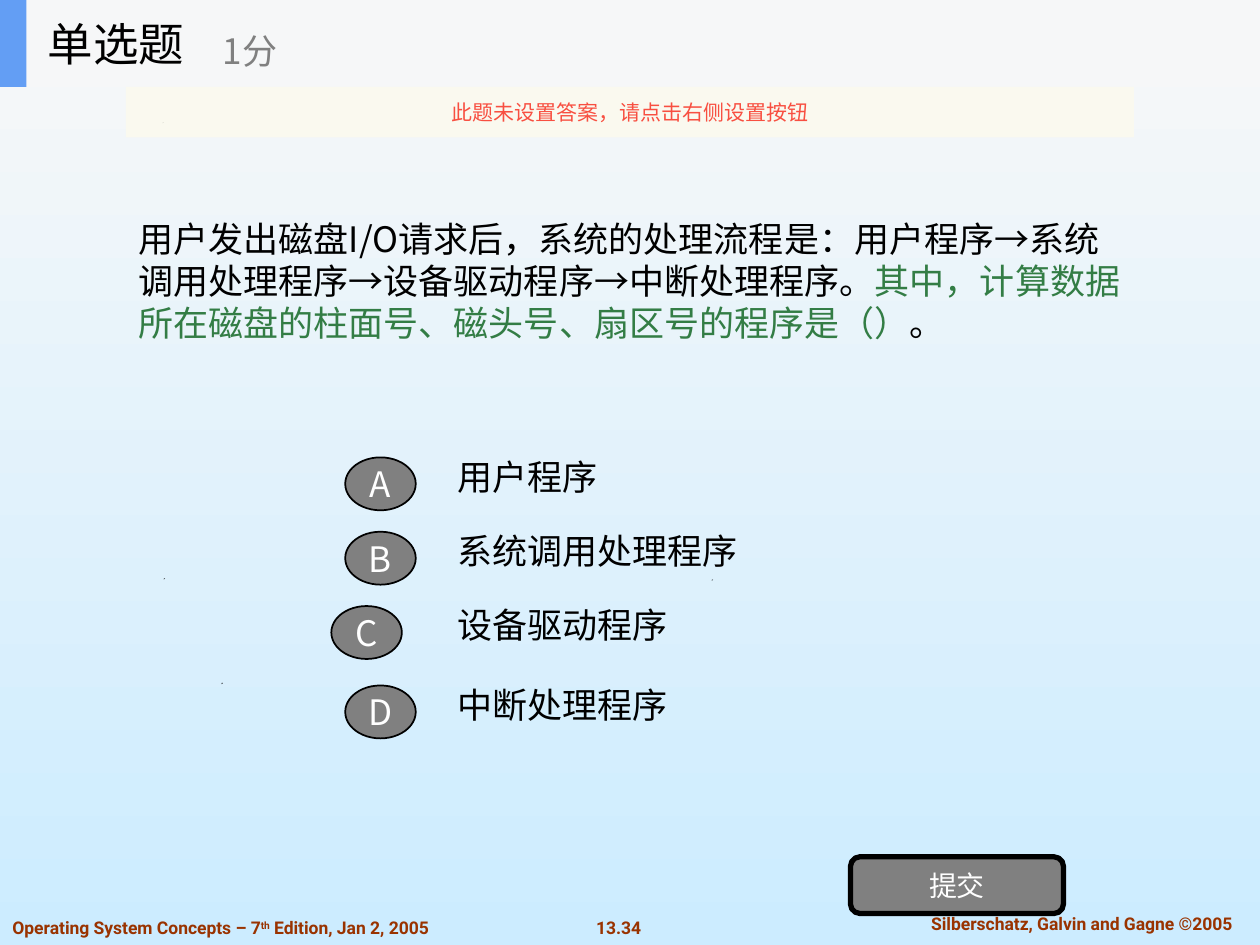
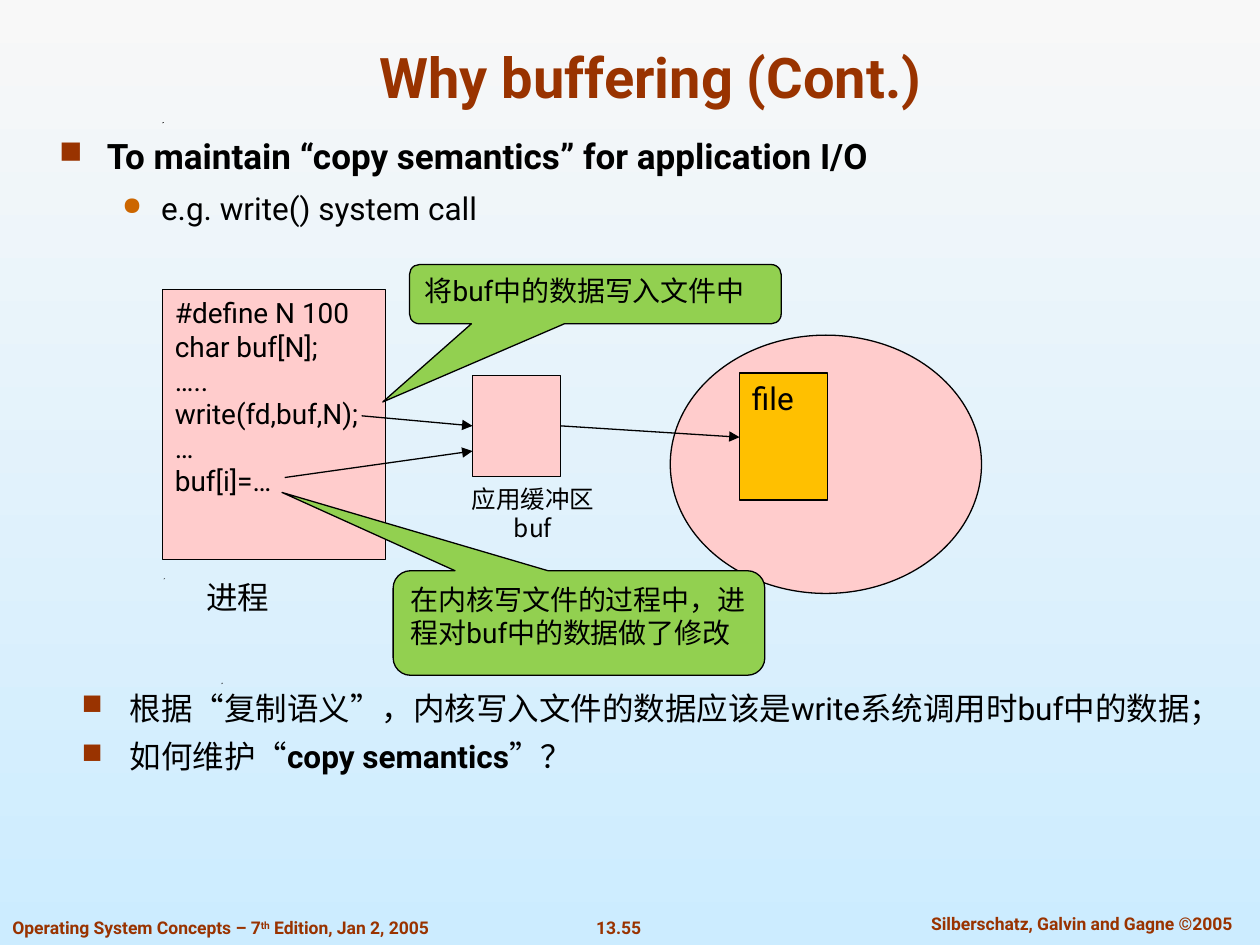
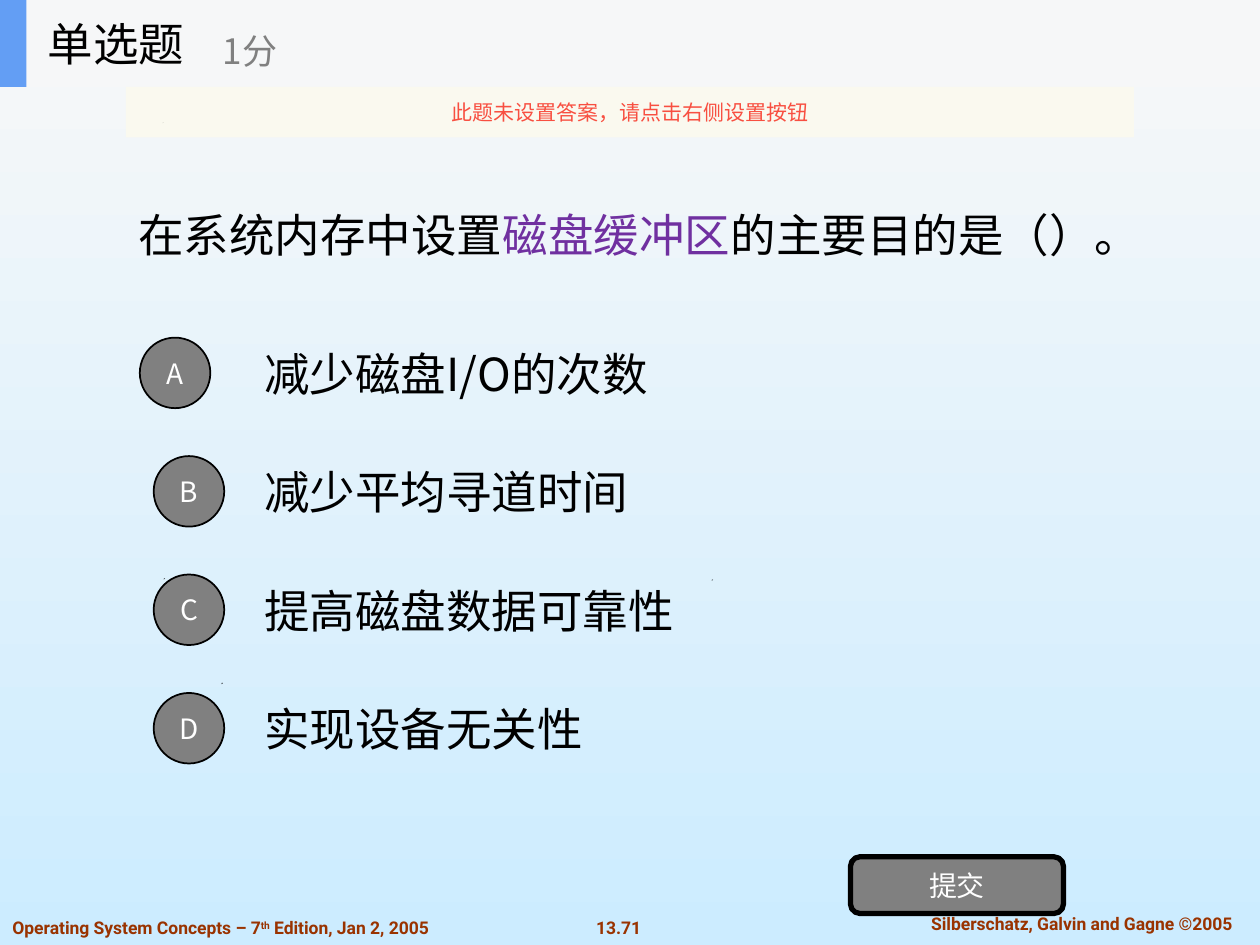
from lxml import etree
from pptx import Presentation
from pptx.dml.color import RGBColor
from pptx.enum.shapes import MSO_CONNECTOR, MSO_SHAPE
from pptx.enum.text import MSO_ANCHOR, PP_ALIGN
from pptx.oxml.ns import qn
from pptx.util import Inches, Pt

LEFT, CENTER = PP_ALIGN.LEFT, PP_ALIGN.CENTER
TOP, MIDDLE, BOTTOM = MSO_ANCHOR.TOP, MSO_ANCHOR.MIDDLE, MSO_ANCHOR.BOTTOM
RECTANGLE, ROUNDED = MSO_SHAPE.RECTANGLE, MSO_SHAPE.ROUNDED_RECTANGLE
ELLIPSE, PROCESS = MSO_SHAPE.OVAL, MSO_SHAPE.FLOWCHART_PROCESS
CALLOUT = MSO_SHAPE.ROUNDED_RECTANGULAR_CALLOUT
STRAIGHT = MSO_CONNECTOR.STRAIGHT

LATIN, CHINESE = "Roboto", "Noto Sans CJK SC"
BLACK, WHITE, GRAY = "000000", "FFFFFF", "808080"
BROWN, ORANGE, PINK, GREEN, GOLD = "993300", "CC6600", "FFCCCC", "92D050", "FFC000"
SPECKS = [(1.76, 5.43), (1.3, 4.6), (5.65, 4.61), (1.29, 0.98)]
SQUARE_BULLET = ("■", BROWN, 90, 0.38, 0.38)
ROUND_BULLET = ("●", ORANGE, 80, 0.81, 0.31)


def rgb(color):
    return RGBColor.from_string(color)


def inches(*lengths):
    return [Inches(length) for length in lengths]


# Text

def add_bullet(paragraph, bullet):
    character, color, percent, margin, hanging = bullet
    properties = paragraph._p.get_or_add_pPr()
    properties.set("marL", str(Inches(margin)))
    properties.set("indent", str(-Inches(hanging)))
    bullet_color = etree.SubElement(properties, qn("a:buClr"))
    etree.SubElement(bullet_color, qn("a:srgbClr"), val=color)
    etree.SubElement(properties, qn("a:buSzPct"), val=str(percent * 1000))
    etree.SubElement(properties, qn("a:buChar"), char=character)


def write_paragraph(paragraph, runs, size, color=BLACK, font=CHINESE, bold=False,
                    align=LEFT, bullet=None, space_before=0):
    """Runs is a string, or a list of (text, changes) pairs."""
    if bullet:
        add_bullet(paragraph, bullet)
    paragraph.alignment = align
    if space_before:
        paragraph.space_before = Pt(space_before)
    paragraph.font.size = Pt(size)
    paragraph.font.bold = bold
    paragraph.font.name = font
    paragraph.font.color.rgb = rgb(color)
    defaults = paragraph._p.pPr.find(qn("a:defRPr"))
    etree.SubElement(defaults, qn("a:ea"), typeface=CHINESE)
    for text, changes in [(runs, {})] if isinstance(runs, str) else runs:
        run = paragraph.add_run()
        run.text = text
        if "color" in changes:
            run.font.color.rgb = rgb(changes["color"])
        if "bold" in changes:
            run.font.bold = changes["bold"]
        if "baseline" in changes:
            run._r.get_or_add_rPr().set("baseline", str(changes["baseline"] * 1000))


def write_text(shape, paragraphs, anchor=TOP, inset=0.1, **style):
    """Each paragraph is its runs, or a dict of runs and own style."""
    frame = shape.text_frame
    frame.word_wrap = True
    frame.vertical_anchor = anchor
    frame.margin_left = frame.margin_right = Inches(inset)
    for index, content in enumerate(paragraphs):
        paragraph = frame.add_paragraph() if index else frame.paragraphs[0]
        own = content if isinstance(content, dict) else {"runs": content}
        write_paragraph(paragraph, **{**style, **own})


def add_text(shapes, box, paragraphs, **style):
    write_text(shapes.add_textbox(*inches(*box)), paragraphs, **style)


# Shapes and lines

def add_block(shapes, kind, box, fill, line_width=0.0, adjustments=()):
    shape = shapes.add_shape(kind, *inches(*box))
    shape.shadow.inherit = False
    shape.fill.solid()
    shape.fill.fore_color.rgb = rgb(fill)
    if line_width:
        shape.line.color.rgb = rgb(BLACK)
        shape.line.width = Pt(line_width)
    else:
        shape.line.fill.background()
    for index, value in enumerate(adjustments):
        shape.adjustments[index] = value
    return shape


def add_arrow(shapes, start, end):
    arrow = shapes.add_connector(STRAIGHT, *inches(*start, *end))
    arrow.line.color.rgb = rgb(BLACK)
    arrow.line.width = Pt(0.75)
    line = arrow._element.spPr.find(qn("a:ln"))
    etree.SubElement(line, qn("a:tailEnd"), type="triangle")
    etree.SubElement(arrow._element.spPr, qn("a:effectLst"))


# Parts shared by all slides

def set_background(master):
    fill = master.background.fill
    fill.gradient()
    fill.gradient_angle = 270
    for stop, position, color in zip(fill.gradient_stops, (0, 1), ("F8F8F8", "CCECFF")):
        stop.position = position
        stop.color.rgb = rgb(color)


def add_speck(shapes, x, y):
    builder = shapes.build_freeform(*inches(x, y))
    builder.add_line_segments([inches(x + 0.01, y - 0.01), inches(x, y - 0.01)])
    speck = builder.convert_to_shape()
    speck.shadow.inherit = False
    speck.fill.solid()
    speck.fill.fore_color.rgb = rgb(BLACK)
    speck.line.fill.background()


def add_slide(presentation, number):
    shapes = presentation.slides.add_slide(presentation.slide_layouts[6]).shapes
    for x, y in SPECKS:
        add_speck(shapes, x, y)
    style = dict(size=10, color=BROWN, font=LATIN, bold=True)
    edition = [("Operating System Concepts – 7", {}), ("th", {"baseline": 30}),
               (" Edition, Jan 2, 2005", {})]
    add_text(shapes, (0, 7.23, 3.69, 0.27), [edition], **style)
    add_text(shapes, (4.63, 7.23, 0.56, 0.27), [number], inset=0, align=CENTER, **style)
    add_text(shapes, (7.1, 7.2, 2.97, 0.27), ["Silberschatz, Galvin and Gagne ©2005"],
             align=CENTER, **style)
    return shapes


# Quiz slides

def add_quiz_header(shapes, width=10, height=0.69):
    header = shapes.add_group_shape().shapes
    add_block(header, RECTANGLE, (0, 0, width, height), "F6F7F8")
    add_block(header, RECTANGLE, (0, 0, 0.21, height), "639EF4")
    add_text(header, (0.28, 0, 2.08, height), ["单选题"], anchor=MIDDLE, size=26)
    add_text(header, (1.67, 0.12, 2.5, 0.56), ["1分"], anchor=MIDDLE, size=20, color=GRAY)
    notice = add_block(shapes, RECTANGLE, (1, height, width - 2, 0.4), "FBFAEF")
    notice_color = notice._element.spPr.find(qn("a:solidFill")).find(qn("a:srgbClr"))
    etree.SubElement(notice_color, qn("a:alpha"), val="90000")
    write_text(notice, ["此题未设置答案，请点击右侧设置按钮"], anchor=MIDDLE,
               align=CENTER, size=12, color="F84F41")


def add_option(shapes, letter, text, box, size, bubble, letter_size):
    """Bubble is left, top (both relative to the option box), width, height."""
    left, top = box[:2]
    add_text(shapes, box, [text], anchor=MIDDLE, size=size)
    circle = add_block(shapes, ELLIPSE, (left + bubble[0], top + bubble[1], *bubble[2:]),
                       GRAY, 1)
    write_text(circle, [letter], anchor=MIDDLE, inset=0, align=CENTER,
               size=letter_size, color=WHITE)


def add_quiz_slide(presentation, number, question, question_top, options, size,
                   option_size, option_left, option_tops, bubble, letter_size, shifted):
    shapes = add_slide(presentation, number)
    add_text(shapes, (1, question_top, 8, 2.34), [question], anchor=MIDDLE, size=size)
    for letter, text, top in zip("ABCD", options, option_tops):
        shift = -0.11 if letter == shifted else 0
        add_option(shapes, letter, text, (option_left, top, *option_size), size,
                   (bubble[0] + shift, *bubble[1:]), letter_size)
    submit = add_block(shapes, ROUNDED, (6.75, 6.8, 1.69, 0.45), GRAY, 3, [0.167])
    write_text(submit, ["提交"], anchor=MIDDLE, align=CENTER, size=16, color=WHITE)
    add_quiz_header(shapes)


# Buffering slide

def add_process(shapes, left, top, width=1.77, height=2.14):
    process = add_block(shapes, PROCESS, (left, top, width, height), PINK, 0.75)
    code = ["#define N 100", "char buf[N];", "…..", "write(fd,buf,N);", "…", "buf[i]=…"]
    write_text(process, code, size=16, font=LATIN)
    add_text(shapes, (left + 0.25, top + height + 0.1, 0.8, 0.4), ["进程"], size=18)


def add_buffer(shapes, left, top, width=0.7, height=0.8):
    add_block(shapes, PROCESS, (left, top, width, height), PINK, 0.75)
    add_text(shapes, (left - 0.12, top + height + 0.01, 1.2, 0.57),
             ["应用缓冲区", "buf"], size=14, align=CENTER)


def add_disk(shapes, left, top):
    add_block(shapes, ELLIPSE, (left, top, 2.47, 2.05), PINK, 0.75)
    file = add_block(shapes, RECTANGLE, (left + 0.55, top + 0.3, 0.7, 1.01), GOLD, 0.75)
    write_text(file, ["file"], size=18, font=LATIN)


def add_callout(shapes, box, pointer, text):
    callout = add_block(shapes, CALLOUT, box, GREEN, 0.75, [*pointer, 0.167])
    write_text(callout, [text], size=16, font=LATIN)


def add_buffering_slide(presentation):
    shapes = add_slide(presentation, "13.55")
    add_text(shapes, (0.75, 0.25, 8.83, 0.67), ["Why buffering (Cont.)"], anchor=BOTTOM,
             align=CENTER, size=32, color=BROWN, font=LATIN, bold=True)
    add_text(shapes, (0.37, 1.02, 9.21, 0.98), [
        dict(runs="To maintain “copy semantics” for application I/O", size=20, bold=True,
             bullet=SQUARE_BULLET),
        dict(runs="e.g. write() system call", size=18, bullet=ROUND_BULLET, space_before=7),
    ], font=LATIN)

    add_process(shapes, 1.29, 2.3)
    add_buffer(shapes, 3.75, 2.98)
    add_disk(shapes, 5.32, 2.66)
    for start, end in [((2.87, 3.3), (3.75, 3.38)), ((4.45, 3.38), (5.87, 3.47))]:
        add_arrow(shapes, start, end)
    add_callout(shapes, (3.25, 2.1, 2.95, 0.47), (-0.572, 1.82), "将buf中的数据写入文件中")
    add_callout(shapes, (3.12, 4.53, 2.95, 0.83), (-0.799, -1.249),
                "在内核写文件的过程中，进程对buf中的数据做了修改")

    question = [("如何维护“", {}), ("copy semantics", {"bold": True}), ("”？", {})]
    add_text(shapes, (0.55, 5.42, 9.21, 0.98), [
        dict(runs="根据“复制语义”，内核写入文件的数据应该是write系统调用时buf中的数据；",
             bullet=SQUARE_BULLET),
        dict(runs=question, bullet=SQUARE_BULLET, space_before=6),
    ], size=18, font=LATIN)
    add_arrow(shapes, (2.26, 3.79), (3.75, 3.58))


def main():
    presentation = Presentation()
    presentation.slide_width, presentation.slide_height = inches(10, 7.5)
    set_background(presentation.slide_master)

    add_quiz_slide(
        presentation, "13.34",
        question=[
            ("用户发出磁盘I/O请求后，系统的处理流程是：用户程序→系统调用处理程序"
             "→设备驱动程序→中断处理程序。", {}),
            ("其中，计算数据所在磁盘的柱面号、磁头号、扇区号的程序是（）",
             {"color": "337D45"}),
            ("。", {})],
        question_top=1.06,
        options=["用户程序", "系统调用处理程序", "设备驱动程序", "中断处理程序"],
        size=20, option_size=(2.6, 0.62), option_left=3.53,
        option_tops=[3.47, 4.06, 4.65, 5.28],
        bubble=(-0.79, 0.16, 0.56, 0.42), letter_size=20, shifted="C")

    add_buffering_slide(presentation)

    add_quiz_slide(
        presentation, "13.71",
        question=[("在系统内存中设置", {}), ("磁盘缓冲区", {"color": "7030A0"}),
                  ("的主要目的是（）。", {})],
        question_top=0.69,
        options=["减少磁盘I/O的次数", "减少平均寻道时间", "提高磁盘数据可靠性",
                 "实现设备无关性"],
        size=26, option_size=(7, 0.7), option_left=2,
        option_tops=[2.61 + 0.94 * row for row in range(4)],
        bubble=(-0.78, 0.07, 0.56, 0.56), letter_size=16, shifted="A")

    presentation.save("out.pptx")


if __name__ == "__main__":
    main()
